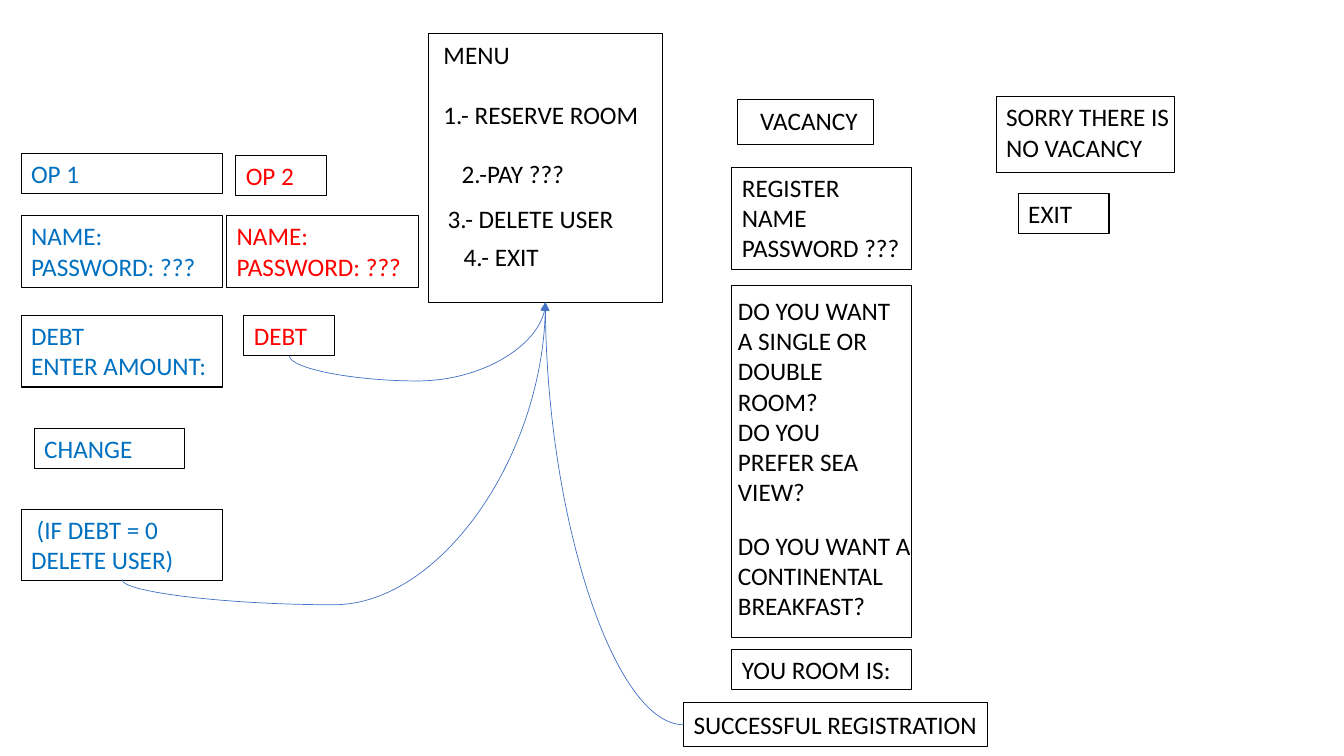
from lxml.etree import SubElement
from pptx import Presentation
from pptx.dml.color import RGBColor
from pptx.enum.shapes import MSO_CONNECTOR, MSO_SHAPE
from pptx.enum.text import MSO_ANCHOR, PP_ALIGN
from pptx.oxml.ns import qn
from pptx.util import Inches, Pt

COLORS = {"black": "000000", "blue": "0070C0", "red": "FF0000", "arrow": "4472C4"}
FONT = {"name": "Calibri", "size": Pt(18)}
FRAME = {"word_wrap": True, "vertical_anchor": MSO_ANCHOR.TOP}
MENU_ENTRY = (5.41, 3)

# Outlines that surround separately placed labels: left, top, width, height
FRAMES = [
    (4.25, 0.33, 2.32, 2.67),
    (7.31, 0.99, 1.35, 0.44),
    (7.26, 2.83, 1.78, 3.5),
    (6.78, 6.97, 3.01, 0.44),
    (9.88, 0.96, 1.77, 0.75),
]
LABELS = [
    ((4.3, 0.34, 2.32, 0.4), ["MENU"]),
    ((4.3, 0.94, 2.32, 0.4), ["1.- RESERVE ROOM"]),
    ((4.48, 1.52, 1.78, 0.4), ["2.-PAY ???"]),
    ((4.34, 1.97, 1.92, 0.4), ["3.- DELETE USER"]),
    ((4.5, 2.34, 1.92, 0.4), ["4.- EXIT"]),
    ((7.44, 1, 1.78, 0.4), ["VACANCY"]),
    ((9.88, 0.96, 2.14, 0.71), ["SORRY THERE IS NO VACANCY"]),
    ((7.22, 2.88, 1.78, 2.52),
     ["DO YOU WANT A SINGLE OR DOUBLE ROOM?", "DO YOU PREFER SEA VIEW?"]),
    ((7.22, 5.21, 1.97, 1.01), ["DO YOU WANT A CONTINENTAL BREAKFAST?"]),
    ((6.78, 6.99, 3.11, 0.4), ["SUCCESSFUL REGISTRATION"]),
]
BOXES = [
    ((0.21, 1.52, 2, 0.4), "blue", ["OP 1"]),
    ((0.21, 2.14, 2, 0.71), "blue", ["NAME:", "PASSWORD: ???"]),
    ((0.21, 3.13, 2, 0.71), "blue", ["DEBT", "ENTER AMOUNT:"]),
    ((0.34, 4.25, 1.49, 0.4), "blue", ["CHANGE"]),
    ((0.21, 5.05, 2, 0.71), "blue", [" (IF DEBT = 0", "DELETE USER)"]),
    ((2.34, 1.54, 0.9, 0.4), "red", ["OP 2"]),
    ((2.25, 2.14, 1.9, 0.71), "red", ["NAME:", "PASSWORD: ???"]),
    ((2.42, 3.13, 0.9, 0.4), "red", ["DEBT"]),
    ((7.26, 1.66, 1.78, 1.01), "black", ["REGISTER", "NAME", "PASSWORD ???"]),
    ((7.26, 6.44, 1.78, 0.4), "black", ["YOU ROOM IS:"]),
    ((10.1, 1.92, 0.9, 0.4), "black", ["EXIT"]),
]


def rgb(name):
    """Return the named colour."""
    return RGBColor.from_string(COLORS[name])


def write_text(shape, lines, color):
    """Write one left-aligned paragraph per line."""
    frame = shape.text_frame
    for key, value in FRAME.items():
        setattr(frame, key, value)
    frame.text = "\n".join(lines)
    for paragraph in frame.paragraphs:
        paragraph.alignment = PP_ALIGN.LEFT
        for key, value in FONT.items():
            setattr(paragraph.font, key, value)
        paragraph.font.color.rgb = rgb(color)


def add_label(slide, bounds, lines):
    """Add black text without an outline."""
    write_text(slide.shapes.add_textbox(*map(Inches, bounds)), lines, "black")


def add_box(slide, bounds, color="black", lines=()):
    """Add an unfilled rectangle with a thin black outline and optional text."""
    shape = slide.shapes.add_shape(MSO_SHAPE.RECTANGLE, *map(Inches, bounds))
    shape.shadow.inherit = False
    shape.fill.background()
    shape.line.color.rgb = rgb("black")
    shape.line.width = Pt(0.75)
    if lines:
        write_text(shape, lines, color)


def add_curve(slide, start, end):
    """Add a thin curved arrow and return its shape properties element."""
    points = map(Inches, (*start, *end))
    connector = slide.shapes.add_connector(MSO_CONNECTOR.CURVE, *points)
    connector.line.color.rgb = rgb("arrow")
    connector.line.width = Pt(0.5)
    properties = connector._element.spPr
    SubElement(properties.find(qn("a:ln")), qn("a:tailEnd"), type="triangle")
    SubElement(properties, qn("a:effectLst"))
    return properties


def add_side_curve(slide, start, end):
    """Add an arrow that leaves sideways and arrives vertically."""
    properties = add_curve(slide, start, end)
    properties.find(qn("a:prstGeom")).set("prst", "curvedConnector2")


def add_dipping_curve(slide, start, end, dip=0.25):
    """Add an arrow that dips below its start, then rises to its end."""
    run, rise = end[0] - start[0], start[1] - end[1]
    center_x, center_y = (start[0] + end[0]) / 2, (start[1] + end[1]) / 2
    # The connector is laid out upright and then turned a quarter clockwise
    properties = add_curve(
        slide,
        (center_x + rise / 2, center_y + run / 2),
        (center_x - rise / 2, center_y - run / 2),
    )
    properties.find(qn("a:xfrm")).set("rot", "5400000")
    adjustments = properties.find(qn("a:prstGeom")).get_or_add_avLst()
    bend = round(-dip / rise * 100000)
    SubElement(adjustments, qn("a:gd"), name="adj1", fmla=f"val {bend}")


def main():
    """Build the hotel menu flow slide."""
    presentation = Presentation()
    presentation.slide_width = Inches(13.33)
    presentation.slide_height = Inches(7.5)
    slide = presentation.slides.add_slide(presentation.slide_layouts[6])
    for bounds in FRAMES:
        add_box(slide, bounds)
    for bounds, lines in LABELS:
        add_label(slide, bounds, lines)
    for bounds, color, lines in BOXES:
        add_box(slide, bounds, color, lines)
    add_side_curve(slide, (6.78, 7.19), MENU_ENTRY)
    for start in ((2.87, 3.53), (1.21, 5.75)):
        add_dipping_curve(slide, start, MENU_ENTRY)
    presentation.save("out.pptx")


main()
